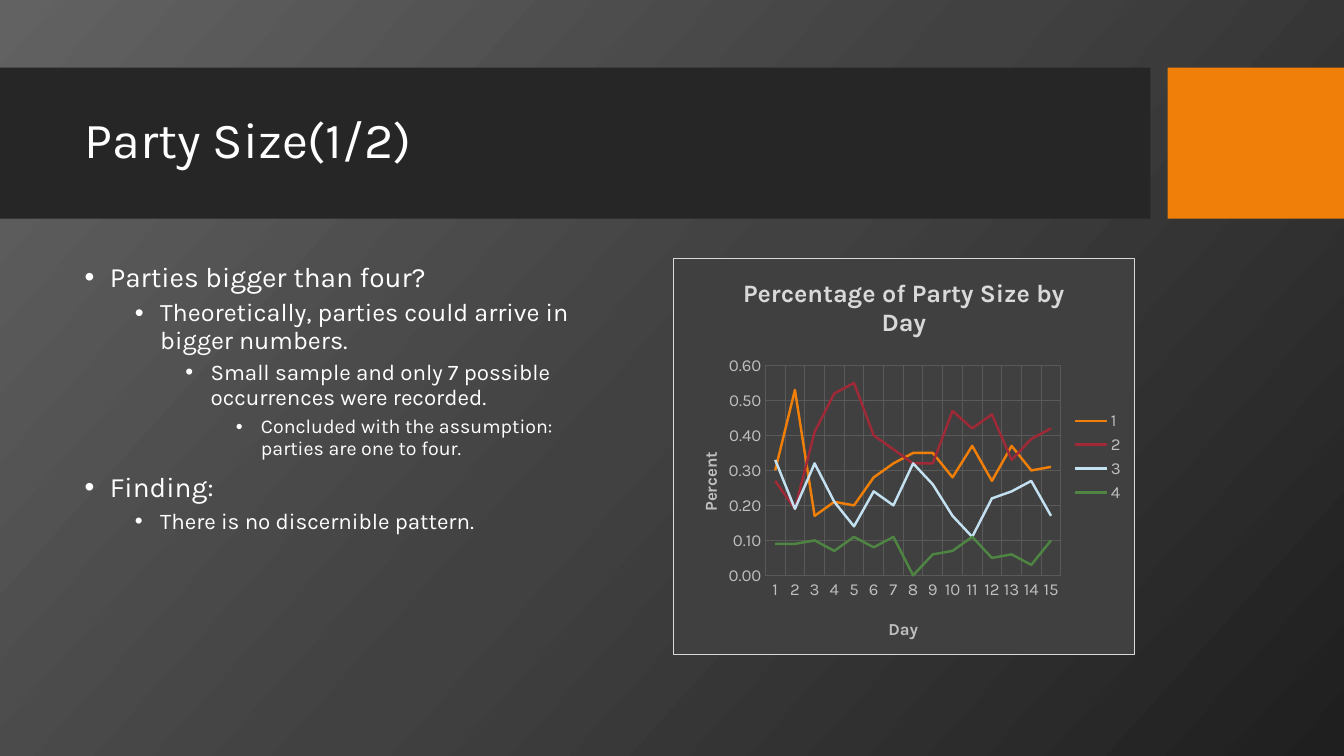
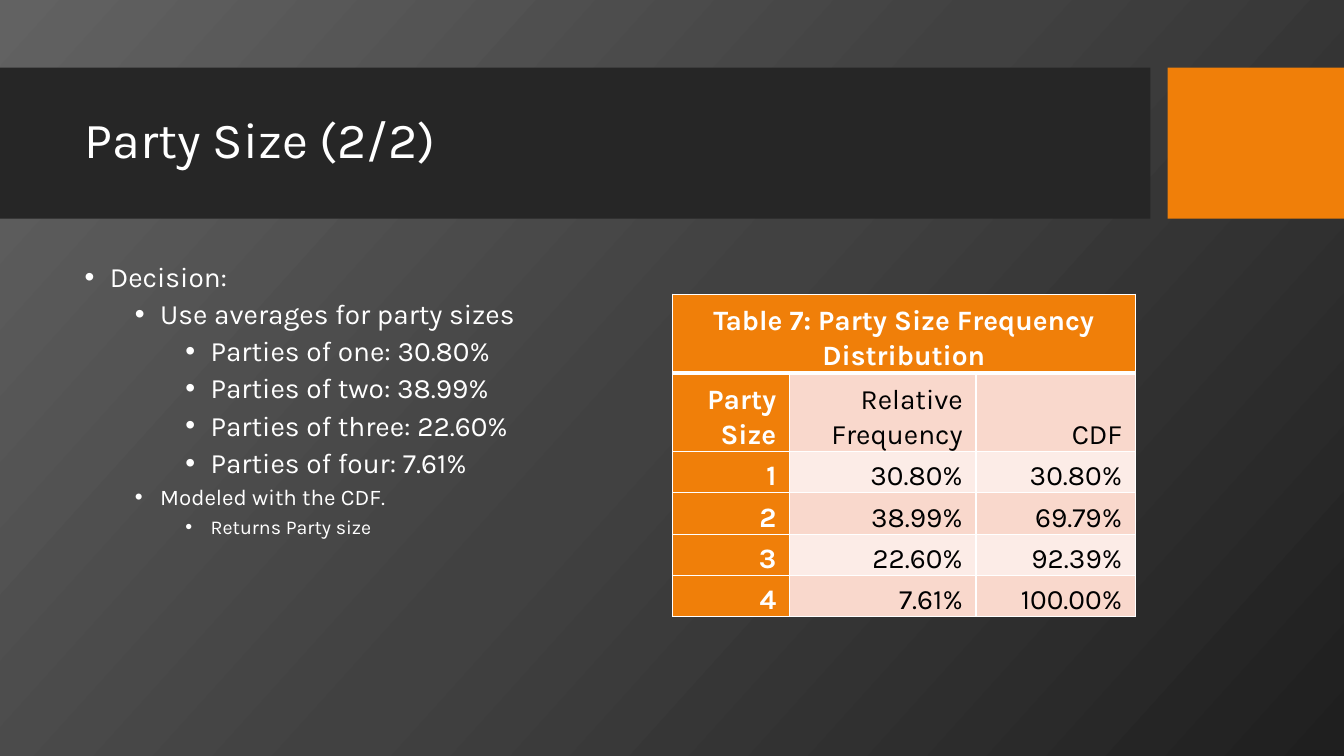
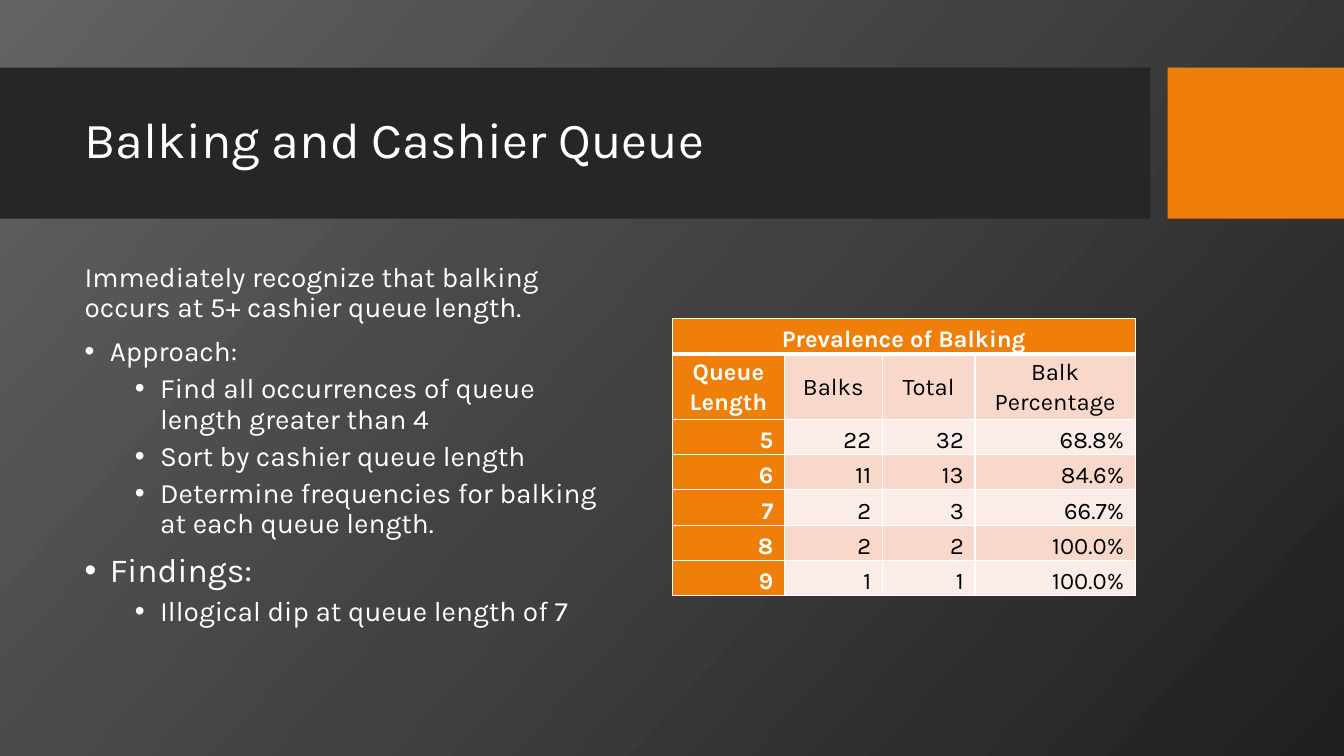
import copy

import pptx
import pptx.chart.data
import pptx.dml.color
import pptx.enum.chart
import pptx.enum.shapes
import pptx.enum.text
import pptx.oxml.ns
import pptx.util
from lxml import etree

PX = 9144
FONT = "Karla"
COLORS = {
    "white": "FFFFFF",
    "black": "000000",
    "band": "262626",
    "orange": "F07F09",
    "red": "9F2936",
    "blue": "C4E1F2",
    "green": "4E8542",
    "dark_stripe": "F9D8CC",
    "light_stripe": "FCECE7",
    "chart_fill": "404040",
    "chart_border": "D9D9D9",
    "chart_text": "BFBFBF",
    "grid": "595959",
}
BACKGROUND_STOPS = ((0, "626262"), (0.5, "414141"), (1, "1F1F1F"))
ALIGN = pptx.enum.text.PP_ALIGN
ANCHOR = pptx.enum.text.MSO_ANCHOR

PARTY_SHARES = {
    "1": ("orange", (0.3, 0.53, 0.17, 0.21, 0.2, 0.28, 0.32, 0.35, 0.35, 0.28, 0.37, 0.27, 0.37, 0.3, 0.31)),
    "2": ("red", (0.27, 0.19, 0.41, 0.52, 0.55, 0.4, 0.36, 0.32, 0.32, 0.47, 0.42, 0.46, 0.33, 0.39, 0.42)),
    "3": ("blue", (0.33, 0.19, 0.32, 0.21, 0.14, 0.24, 0.2, 0.32, 0.26, 0.17, 0.11, 0.22, 0.24, 0.27, 0.17)),
    "4": ("green", (0.09, 0.09, 0.1, 0.07, 0.11, 0.08, 0.11, 0, 0.06, 0.07, 0.11, 0.05, 0.06, 0.03, 0.1)),
}


def px(*lengths):
    return [pptx.util.Emu(length * PX) for length in lengths]


def rgb(name):
    return pptx.dml.color.RGBColor.from_string(COLORS[name])


def add_element(parent, tag, **attributes):
    return etree.SubElement(parent, pptx.oxml.ns.qn(tag), attributes)


def add_solid_fill(parent, color):
    add_element(add_element(parent, "a:solidFill"), "a:srgbClr", val=COLORS[color])


def set_font(font, size, color, bold=False):
    font.name = FONT
    font.size = pptx.util.Pt(size)
    font.bold = bold
    font.color.rgb = rgb(color)


def set_background(master):
    fill = master.background.fill
    fill.gradient()
    fill.gradient_angle = 318
    stop_list = master.element.find(".//" + pptx.oxml.ns.qn("a:gsLst"))
    stop_list.append(copy.deepcopy(stop_list[-1]))
    for stop, (position, color) in zip(fill.gradient_stops, BACKGROUND_STOPS):
        stop.position = position
        stop.color.rgb = pptx.dml.color.RGBColor.from_string(color)


def add_band(slide, left, width, color):
    shape = slide.shapes.add_shape(
        pptx.enum.shapes.MSO_SHAPE.RECTANGLE, *px(left, 67, width, 150))
    shape.shadow.inherit = False
    shape.fill.solid()
    shape.fill.fore_color.rgb = rgb(color)
    shape.line.fill.background()


def add_text_frame(slide, left, top, width, height):
    frame = slide.shapes.add_textbox(*px(left, top, width, height)).text_frame
    frame.word_wrap = True
    return frame


def add_titled_slide(presentation, title):
    slide = presentation.slides.add_slide(presentation.slide_layouts[6])
    add_band(slide, 0, 1141, "band")
    add_band(slide, 1158, 175, "orange")
    frame = add_text_frame(slide, 74, 82, 1051, 118)
    frame.vertical_anchor = ANCHOR.MIDDLE
    paragraph = frame.paragraphs[0]
    paragraph.text = title
    paragraph.line_spacing = 0.9
    set_font(paragraph.font, 36, "white")
    return slide


def add_body(slide, items):
    frame = add_text_frame(slide, 74, 256, 539, 394)
    for index, (level, size, text) in enumerate(items):
        paragraph = frame.add_paragraph() if index else frame.paragraphs[0]
        paragraph.text = text
        paragraph.line_spacing = 0.9
        if index:
            paragraph.space_before = pptx.util.Pt(5 if level else 10)
        if level is not None:
            paragraph.level = level
            properties = paragraph._p.get_or_add_pPr()
            properties.set("marL", str((25 + 50 * level) * PX))
            properties.set("indent", str(-25 * PX))
            add_element(properties, "a:buFont", typeface="Arial")
            add_element(properties, "a:buChar", char="•")
        set_font(paragraph.font, size, "white")


def set_layout(parent, index, **fractions):
    layout = parent.find(pptx.oxml.ns.qn("c:layout"))
    if layout is None:
        layout = add_element(parent, "c:layout")
        parent.insert(index, layout)
    manual = add_element(layout, "c:manualLayout")
    if "w" in fractions:
        add_element(manual, "c:layoutTarget", val="inner")
    for mode in ("xMode", "yMode"):
        add_element(manual, "c:" + mode, val="edge")
    for name, value in fractions.items():
        add_element(manual, "c:" + name, val=str(value))


def set_chart_title(owner, text, size, color):
    owner.has_title = True
    title = owner.chart_title if hasattr(owner, "chart_title") else owner.axis_title
    paragraph = title.text_frame.paragraphs[0]
    paragraph.text = text
    set_font(paragraph.font, size, color, True)
    return title


def style_axis(axis, title, x, y):
    axis_title = set_chart_title(axis, title, 12, "chart_text")
    set_layout(axis_title._element, 1, x=x, y=y)
    set_font(axis.tick_labels.font, 12, "chart_text")
    axis.major_tick_mark = pptx.enum.chart.XL_TICK_MARK.NONE
    axis.minor_tick_mark = pptx.enum.chart.XL_TICK_MARK.NONE
    axis.format.line.fill.background()
    axis.has_major_gridlines = True
    grid = axis.major_gridlines.format.line
    grid.color.rgb = rgb("grid")
    grid.width = pptx.util.Pt(0.75)


def style_chart_area(chart):
    space = chart._chartSpace
    properties = add_element(space, "c:spPr")
    add_solid_fill(properties, "chart_fill")
    border = add_element(properties, "a:ln", w=str(pptx.util.Pt(0.75)))
    add_solid_fill(border, "chart_border")
    chart_element = space.find(pptx.oxml.ns.qn("c:chart"))
    chart_element.addnext(properties)
    plot_area = chart_element.find(pptx.oxml.ns.qn("c:plotArea"))
    set_layout(plot_area, 0, x=0.2, y=0.27, w=0.64, h=0.53)


def add_party_chart(slide):
    data = pptx.chart.data.CategoryChartData(number_format="0.00")
    data.categories = [str(day) for day in range(1, 16)]
    for name, (color, values) in PARTY_SHARES.items():
        data.add_series(name, values)
    chart = slide.shapes.add_chart(
        pptx.enum.chart.XL_CHART_TYPE.LINE, *px(667, 256, 459, 394), data).chart
    set_font(chart.font, 10, "white")
    set_chart_title(chart, "Percentage of Party Size by Day", 18, "chart_border")
    style_axis(chart.category_axis, "Day", 0.46, 0.9)
    style_axis(chart.value_axis, "Percent", 0.05, 0.48)
    chart.value_axis.minimum_scale = 0
    chart.value_axis.maximum_scale = 0.6
    chart.value_axis.major_unit = 0.1
    chart.value_axis.tick_labels.number_format = "0.00"
    chart.value_axis.tick_labels.number_format_is_linked = False
    chart.has_legend = True
    chart.legend.position = pptx.enum.chart.XL_LEGEND_POSITION.RIGHT
    chart.legend.include_in_layout = False
    set_font(chart.legend.font, 12, "chart_text")
    plot = chart.plots[0]
    plot.vary_by_categories = False
    for series in plot.series:
        series.smooth = False
        series.format.line.color.rgb = rgb(PARTY_SHARES[series.name][0])
        series.format.line.width = pptx.util.Pt(1.75)
    style_chart_area(chart)


def set_borders(cell, row):
    properties = cell._tc.get_or_add_tcPr()
    widths = {"L": 1, "R": 1, "T": 3 if row == 1 else 1, "B": 3 if row == 0 else 1}
    for side, width in widths.items():
        line = add_element(properties, "a:ln" + side, w=str(pptx.util.Pt(width)))
        add_solid_fill(line, "white")


def style_cell(cell, row, column, size, margin, align, anchor):
    is_heading = row == 0 or column == 0
    set_borders(cell, row)
    cell.fill.solid()
    stripe = "dark_stripe" if row % 2 else "light_stripe"
    cell.fill.fore_color.rgb = rgb("orange" if is_heading else stripe)
    cell.margin_left, cell.margin_right, cell.margin_top, cell.margin_bottom = px(
        margin, margin, 0, 0)
    cell.vertical_anchor = anchor
    paragraph = cell.text_frame.paragraphs[0]
    paragraph.alignment = align
    paragraph.line_spacing = 1.07
    set_font(paragraph.font, size, "white" if is_heading else "black", is_heading)


def add_table(slide, top, widths, heights, size, margin, title, rows, header_style):
    body_style = (ALIGN.RIGHT, ANCHOR.BOTTOM)
    styles = {0: (ALIGN.CENTER, ANCHOR.BOTTOM), 1: header_style}
    table = slide.shapes.add_table(
        len(heights), len(widths), *px(667, top, sum(widths), sum(heights))).table
    table.first_row = False
    table.horz_banding = False
    for column, width in zip(table.columns, px(*widths)):
        column.width = width
    for row, height in zip(table.rows, px(*heights)):
        row.height = height
    table.cell(0, 0).merge(table.cell(0, len(widths) - 1))
    title_row = [title] + [""] * (len(widths) - 1)
    for row, texts in enumerate([title_row, *rows]):
        for column, text in enumerate(texts):
            cell = table.cell(row, column)
            cell.text = text
            style_cell(cell, row, column, size, margin, *styles.get(row, body_style))


def add_party_chart_slide(presentation):
    slide = add_titled_slide(presentation, "Party Size(1/2)")
    add_body(slide, [
        (0, 20, "Parties bigger than four?"),
        (1, 18, "Theoretically, parties could arrive in bigger numbers."),
        (2, 16, "Small sample and only 7 possible occurrences were recorded."),
        (3, 14, "Concluded with the assumption: parties are one to four."),
        (0, 20, "Finding:"),
        (1, 16, "There is no discernible pattern."),
    ])
    add_party_chart(slide)


def add_party_table_slide(presentation):
    slide = add_titled_slide(presentation, "Party Size (2/2)")
    add_body(slide, [
        (0, 20, "Decision:"),
        (1, 20, "Use averages for party sizes"),
        (2, 20, "Parties of one: 30.80%"),
        (2, 20, "Parties of two: 38.99%"),
        (2, 20, "Parties of three: 22.60%"),
        (2, 20, "Parties of four: 7.61%"),
        (1, 16, "Modeled with the CDF."),
        (2, 14, "Returns Party size"),
    ])
    add_table(
        slide, 292, [116, 185, 158], [78] * 2 + [41] * 4, 20, 13,
        "Table 7: Party Size Frequency Distribution",
        [
            ("Party Size", "Relative Frequency", "CDF"),
            ("1", "30.80%", "30.80%"),
            ("2", "38.99%", "69.79%"),
            ("3", "22.60%", "92.39%"),
            ("4", "7.61%", "100.00%"),
        ],
        (ALIGN.RIGHT, ANCHOR.BOTTOM))


def add_balking_slide(presentation):
    slide = add_titled_slide(presentation, "Balking and Cashier Queue")
    add_body(slide, [
        (None, 20, "Immediately recognize that balking occurs at 5+ cashier queue length."),
        (0, 20, "Approach:"),
        (1, 20, "Find all occurrences of queue length greater than 4"),
        (1, 20, "Sort by cashier queue length"),
        (1, 20, "Determine frequencies for balking at each queue length."),
        (0, 24, "Findings:"),
        (1, 20, "Illogical dip at queue length of 7"),
    ])
    add_table(
        slide, 316, [111, 97, 92, 159], [35, 65] + [35] * 5, 17, 11,
        "Prevalence of Balking",
        [
            ("Queue Length", "Balks", "Total", "Balk Percentage"),
            ("5", "22", "32", "68.8%"),
            ("6", "11", "13", "84.6%"),
            ("7", "2", "3", "66.7%"),
            ("8", "2", "2", "100.0%"),
            ("9", "1", "1", "100.0%"),
        ],
        (ALIGN.CENTER, ANCHOR.MIDDLE))


def main():
    presentation = pptx.Presentation()
    presentation.slide_width, presentation.slide_height = px(1333, 750)
    set_background(presentation.slide_master)
    add_party_chart_slide(presentation)
    add_party_table_slide(presentation)
    add_balking_slide(presentation)
    presentation.save("out.pptx")


if __name__ == "__main__":
    main()
